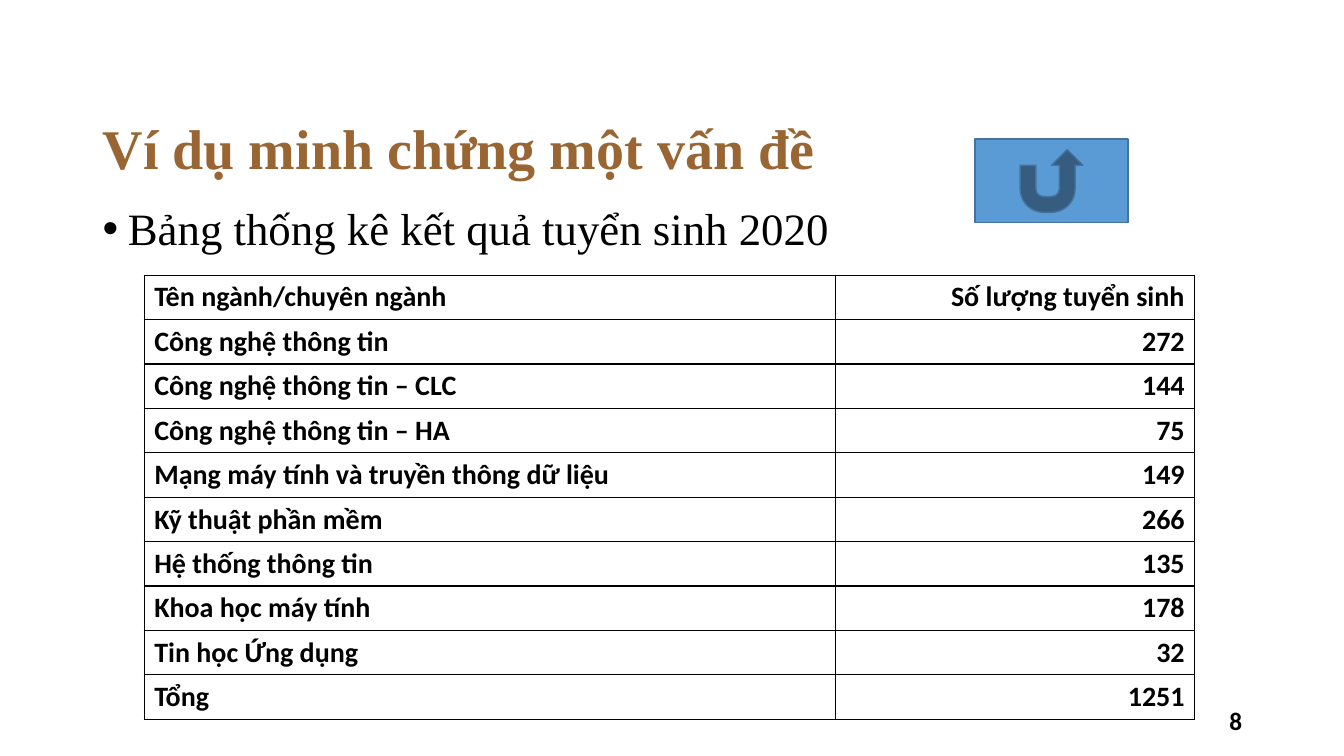
from dataclasses import dataclass

from lxml.etree import SubElement
from pptx import Presentation
from pptx.dml.color import RGBColor
from pptx.enum.shapes import MSO_SHAPE as Preset
from pptx.enum.text import MSO_ANCHOR as Anchor, MSO_AUTO_SIZE as AutoSize, PP_ALIGN as Align
from pptx.oxml import parse_xml
from pptx.oxml.ns import nsdecls, qn
from pptx.slide import Slide
from pptx.text.text import TextFrame
from pptx.util import Inches, Length, Pt


@dataclass(frozen=True)
class Theme:
    heading_font: str = "Times New Roman"
    body_font: str = "Calibri"
    bullet_font: str = "Arial"
    title_color: str = "996633"
    ink: str = "000000"
    paper: str = "FFFFFF"
    button_fill: str = "5B9BD5"
    button_line: str = "43739E"
    title_size: int = 40
    bullet_size: int = 32
    table_size: int = 20
    number_size: int = 18
    line_width: int = 1


@dataclass(frozen=True)
class Area:
    left: float
    top: float
    width: float
    height: float

    def lengths(self) -> tuple[Length, ...]:
        return (
            Length(round(WIDTH * self.left / 100)),
            Length(round(HEIGHT * self.top / 100)),
            Length(round(WIDTH * self.width / 100)),
            Length(round(HEIGHT * self.height / 100)),
        )


@dataclass(frozen=True)
class Intake:
    major: str
    students: int


THEME = Theme()
WIDTH, HEIGHT = Inches(13.33), Inches(7.5)
TITLE_AREA = Area(6.9, 5.33, 86.25, 19.33)
BULLET_AREA = Area(6.9, 26.67, 86.25, 63.47)
TABLE_AREA = Area(10.73, 36.4, 78.17, 57.73)
BUTTON_AREA = Area(72.54, 18.4, 11.4, 11.07)
NUMBER_AREA = Area(70.67, 92.67, 22.5, 5.33)
MAJOR_SHARE = 65.83

INTAKES = [
    Intake("Công nghệ thông tin", 272),
    Intake("Công nghệ thông tin – CLC", 144),
    Intake("Công nghệ thông tin – HA", 75),
    Intake("Mạng máy tính và truyền thông dữ liệu", 149),
    Intake("Kỹ thuật phần mềm", 266),
    Intake("Hệ thống thông tin", 135),
    Intake("Khoa học máy tính", 178),
    Intake("Tin học Ứng dụng", 32),
]


def write(frame: TextFrame, text: str, *, font: str, size: int, color: str = THEME.ink,
          bold: bool = False, align: Align = Align.LEFT, anchor: Anchor = Anchor.TOP,
          line_spacing: float = 1.0, before: int = 0, bullet: str = "") -> None:
    frame.word_wrap = True
    frame.auto_size = AutoSize.NONE
    frame.vertical_anchor = anchor
    para = frame.paragraphs[0]
    para.alignment = align
    para.line_spacing = line_spacing
    para.space_before = Pt(before)
    if bullet:
        properties = para._p.get_or_add_pPr()
        properties.set("marL", str(Inches(0.25)))
        properties.set("indent", str(-Inches(0.25)))
        SubElement(properties, qn("a:buFont"), typeface=THEME.bullet_font)
        SubElement(properties, qn("a:buChar"), char=bullet)
    span = para.add_run()
    span.text = text
    span.font.name = font
    span.font.size = Pt(size)
    span.font.bold = bold
    span.font.color.rgb = RGBColor.from_string(color)


def add_title(page: Slide, text: str) -> None:
    title = page.shapes.title
    title.left, title.top, title.width, title.height = TITLE_AREA.lengths()
    write(title.text_frame, text, font=THEME.heading_font, size=THEME.title_size,
          color=THEME.title_color, bold=True, anchor=Anchor.BOTTOM, line_spacing=0.9)


def add_text(page: Slide, area: Area, text: str, **style) -> None:
    box = page.shapes.add_textbox(*area.lengths())
    write(box.text_frame, text, **style)


def add_borders(cell) -> None:
    properties = cell._tc.get_or_add_tcPr()
    for index, side in enumerate(("lnL", "lnR", "lnT", "lnB")):
        properties.insert(index, parse_xml(
            f'<a:{side} {nsdecls("a")} w="{Pt(THEME.line_width)}"><a:solidFill>'
            f'<a:srgbClr val="{THEME.ink}"/></a:solidFill></a:{side}>'))


def add_intake_table(page: Slide, intakes: list[Intake]) -> None:
    total = sum(intake.students for intake in intakes)
    rows = [
        ("Tên ngành/chuyên ngành", "Số lượng tuyển sinh"),
        *((intake.major, str(intake.students)) for intake in intakes),
        ("Tổng", str(total)),
    ]
    left, top, width, height = TABLE_AREA.lengths()
    table = page.shapes.add_table(len(rows), 2, left, top, width, height).table
    table.first_row = table.horz_banding = False
    table.columns[0].width = Length(round(width * MAJOR_SHARE / 100))
    table.columns[1].width = Length(width - table.columns[0].width)
    for row, values in enumerate(rows):
        for column, (value, align) in enumerate(zip(values, (Align.LEFT, Align.RIGHT))):
            cell = table.cell(row, column)
            cell.fill.solid()
            cell.fill.fore_color.rgb = RGBColor.from_string(THEME.paper)
            add_borders(cell)
            write(cell.text_frame, value, font=THEME.body_font, size=THEME.table_size,
                  bold=True, align=align)
            cell.vertical_anchor = Anchor.MIDDLE


def add_return_button(page: Slide) -> None:
    button = page.shapes.add_shape(Preset.ACTION_BUTTON_RETURN, *BUTTON_AREA.lengths())
    button.shadow.inherit = False
    button.fill.solid()
    button.fill.fore_color.rgb = RGBColor.from_string(THEME.button_fill)
    button.line.color.rgb = RGBColor.from_string(THEME.button_line)
    button.line.width = Pt(THEME.line_width)


def main() -> None:
    deck = Presentation()
    deck.slide_width, deck.slide_height = WIDTH, HEIGHT
    page = deck.slides.add_slide(deck.slide_layouts.get_by_name("Title Only"))
    add_title(page, "Ví dụ minh chứng một vấn đề")
    add_text(page, BULLET_AREA, "Bảng thống kê kết quả tuyển sinh 2020",
             font=THEME.heading_font, size=THEME.bullet_size,
             line_spacing=0.9, before=10, bullet="•")
    add_intake_table(page, INTAKES)
    add_return_button(page)
    add_text(page, NUMBER_AREA, "8", font=THEME.body_font, size=THEME.number_size,
             bold=True, align=Align.RIGHT, anchor=Anchor.MIDDLE)
    deck.save("out.pptx")


if __name__ == "__main__":
    main()
